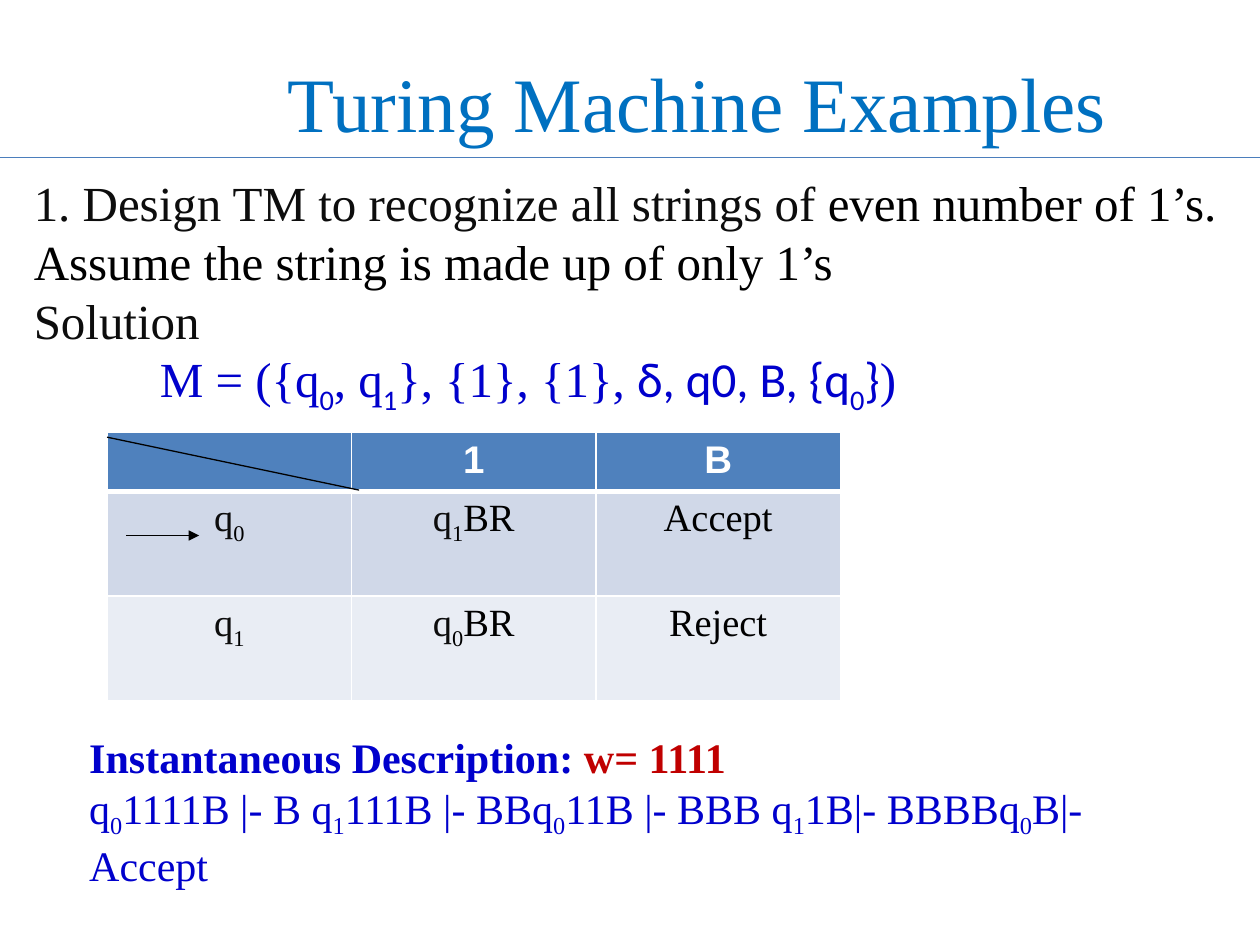
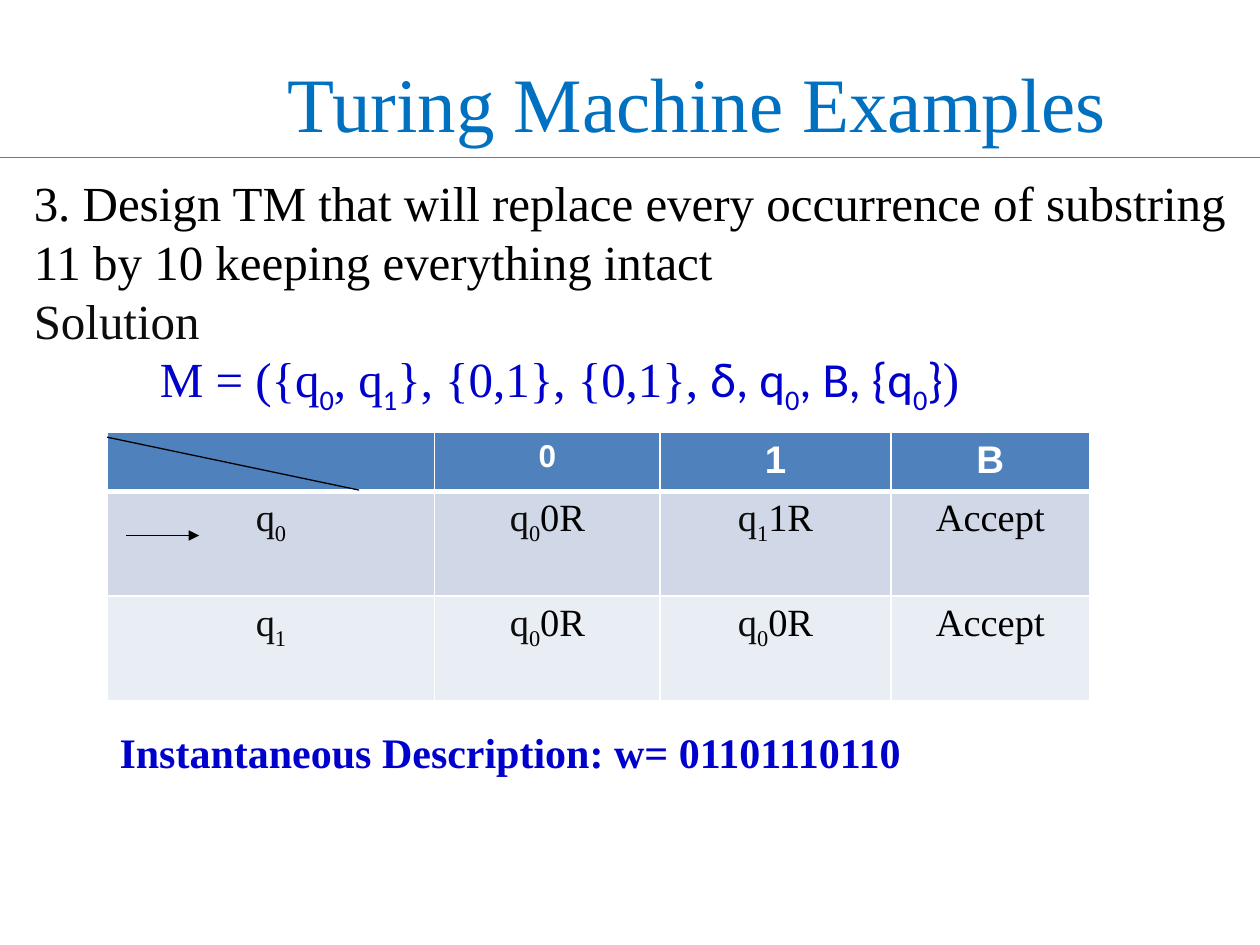
"""Builds two slides of Turing machine examples with transition tables."""
from dataclasses import dataclass

from lxml import etree
from pptx import Presentation
from pptx.dml.color import RGBColor
from pptx.enum.shapes import MSO_CONNECTOR
from pptx.enum.text import MSO_ANCHOR, PP_ALIGN
from pptx.oxml.ns import qn
from pptx.util import Inches, Pt

STRAIGHT = MSO_CONNECTOR.STRAIGHT
CENTER, LEFT = PP_ALIGN.CENTER, PP_ALIGN.LEFT
MIDDLE, TOP = MSO_ANCHOR.MIDDLE, MSO_ANCHOR.TOP


@dataclass(frozen=True)
class Theme:
    """Colours, fonts and type sizes."""
    title: str = "0070C0"
    rule: str = "4B7EBC"
    ink: str = "000000"
    soft: str = "0D0D0D"
    blue: str = "0000CC"
    red: str = "C00000"
    white: str = "FFFFFF"
    head: str = "4F81BD"
    bands: tuple = ("D0D8E8", "E9EDF4")
    serif: str = "Times New Roman"
    sans: str = "Calibri"
    label: str = "Arial"
    big: int = 44
    body: int = 28
    note: int = 24
    cell: int = 22
    small: int = 18


T = Theme()
WIDE, HIGH = 10, 7.5
TITLE = "Turing Machine Examples"
SHIFT = 1.17
LEAD = 0.85
TABLE_TOP = 3.43
ROWS = (0.47, 0.83, 0.83)

# Each piece of text is (words, colour, font, subscript font); "_" lowers one character.
SLIDES = [
    dict(
        task=[("1. Design TM to recognize all strings of ", T.soft),
              ("even number of 1’s. Assume the string is made up of only 1’s", T.ink)],
        sets="{1}, {1}", start="q0",
        cols=(1.94, 1.94, 1.94),
        heads=[("", T.cell), ("1", T.cell), ("B", T.cell)],
        moves=[("q_0", "q_1BR", "Accept"), ("q_1", "q_0BR", "Reject")],
        note_at=(0.61, 5.76, 8.21, 1.92),
        word=("w= 1111", T.red),
        trace="q_01111B |- B q_1111B |- BBq_011B |- BBB q_11B|- BBBBq_0B|- Accept",
    ),
    dict(
        task=[("3. Design TM that will replace every occurrence of substring "
               "11 by 10 keeping everything intact", T.ink)],
        sets="{0,1}, {0,1}", start="q_0",
        cols=(2.6, 1.79, 1.83, 1.58),
        heads=[("", T.cell), ("0", T.small), ("1", T.cell), ("B", T.cell)],
        moves=[("q_0", "q_00R", "q_11R", "Accept"), ("q_1", "q_00R", "q_00R", "Accept")],
        note_at=(LEAD, 5.72, 8.21, 1.14),
        word=("w= 01101110110", T.blue),
        trace="",
    ),
]


def rgb(code):
    return RGBColor.from_string(code)


def write(para, parts, size, font=T.serif, bold=False, align=LEFT):
    para.alignment = align
    para.font.size, para.font.bold, para.font.name = Pt(size), bold, font
    tints = {part[1] for part in parts}
    if len(tints) == 1:
        para.font.color.rgb = rgb(tints.pop())
    for words, tint, *faces in parts:
        face, low = (faces + [font, font])[:2] if faces else (font, font)
        first, *rest = words.split("_")
        bits = [(first, face, False)]
        for bit in rest:
            bits += [(bit[:1], low, True), (bit[1:], face, False)]
        for text, name, sub in bits:
            if not text:
                continue
            run = para.add_run()
            run.text = text
            if len({part[1] for part in parts}) > 1:
                run.font.color.rgb = rgb(tint)
            if name != font:
                run.font.name = name
            if sub:
                run.font._element.set("baseline", "-25000")


def box(slide, at, anchor=TOP):
    frame = slide.shapes.add_textbox(*map(Inches, at)).text_frame
    frame.word_wrap = True
    frame.vertical_anchor = anchor
    return frame


def line(slide, start, end, tint=T.ink, arrow=False):
    link = slide.shapes.add_connector(STRAIGHT, *map(Inches, start + end))
    link.line.color.rgb = rgb(tint)
    link.line.width = Pt(0.75)
    if arrow:
        etree.SubElement(link.line._get_or_add_ln(), qn("a:tailEnd"), type="triangle")
    etree.SubElement(link._element.spPr, qn("a:effectLst"))


def edge(cell, row):
    props = cell._tc.get_or_add_tcPr()
    thick = {"T": 3 if row == 1 else 1, "B": 3 if row == 0 else 1}
    for side in "LRTB":
        width = Pt(thick.get(side, 1))
        rim = etree.SubElement(props, qn("a:ln" + side), w=str(int(width)))
        fill = etree.SubElement(rim, qn("a:solidFill"))
        etree.SubElement(fill, qn("a:srgbClr"), val=T.white)


def grid(slide, cols, heads, moves):
    spot = (LEAD, TABLE_TOP, sum(cols), sum(ROWS))
    table = slide.shapes.add_table(len(ROWS), len(cols), *map(Inches, spot)).table
    for col, width in zip(table.columns, cols):
        col.width = Inches(width)
    for row, height in zip(table.rows, ROWS):
        row.height = Inches(height)
    for r, fill in enumerate((T.head,) + T.bands):
        for c in range(len(cols)):
            cell = table.cell(r, c)
            edge(cell, r)
            cell.fill.solid()
            cell.fill.fore_color.rgb = rgb(fill)
            para = cell.text_frame.paragraphs[0]
            if r == 0:
                text, size = heads[c]
                write(para, [(text, T.white)], size, T.label, True, CENTER)
                continue
            text = moves[r - 1][c]
            parts = [(text, T.ink)]
            if text.startswith("q"):
                parts = [("q", T.soft), (text[1:], T.ink)]
            write(para, parts, T.cell, align=CENTER)


def frame(slide):
    title = box(slide, (0, 0, WIDE, 1.61), MIDDLE)
    title.margin_left = Inches(SHIFT)
    write(title.paragraphs[0], [(TITLE, T.title)], T.big, align=CENTER)
    line(slide, (0, HIGH / 6), (WIDE, HIGH / 6), T.rule)


def build(slide, task, sets, start, cols, heads, moves, note_at, word, trace):
    frame(slide)
    body = box(slide, (0.17, 1.32, 9.67, 3.13))
    write(body.paragraphs[0], task, T.body)
    write(body.add_paragraph(), [("Solution", T.soft)], T.body)
    tuple_line = body.add_paragraph()
    tuple_line._p.get_or_add_pPr().set("marL", str(Inches(1)))
    write(tuple_line, [
        ("M = ({q_0, q_1}, " + sets + ", ", T.blue, T.serif, T.sans),
        ("δ, " + start + ", B, {q_0}", T.blue, T.sans, T.sans),
        (")", T.blue),
    ], T.body)
    grid(slide, cols, heads, moves)
    line(slide, (1, 4.25), (1.58, 4.25), arrow=True)
    line(slide, (LEAD, 3.47), (LEAD + 2, 3.89))
    note = box(slide, note_at)
    write(note.paragraphs[0], [("Instantaneous Description: ", T.blue), word], T.note, bold=True)
    if trace:
        write(note.add_paragraph(), [(trace, T.blue)], T.note)


def main():
    deck = Presentation()
    deck.slide_width, deck.slide_height = Inches(WIDE), Inches(HIGH)
    for data in SLIDES:
        build(deck.slides.add_slide(deck.slide_layouts[6]), **data)
    deck.save("out.pptx")


if __name__ == "__main__":
    main()
